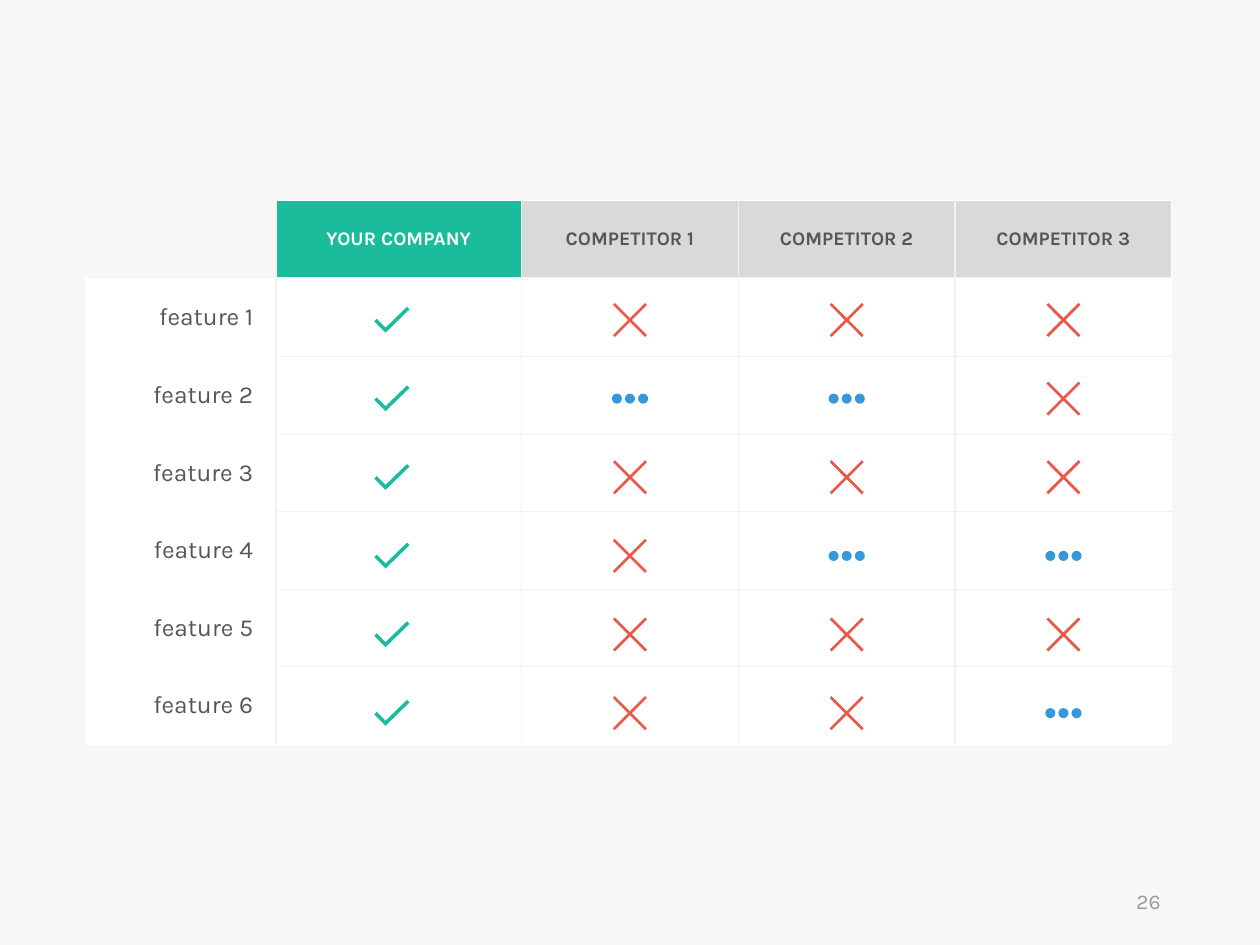
import dataclasses
import typing

import lxml.etree
import pptx
import pptx.dml.color
import pptx.enum.shapes
import pptx.enum.text
import pptx.oxml.ns
import pptx.util

RGB = pptx.dml.color.RGBColor
ALIGN = pptx.enum.text.PP_ALIGN
MIDDLE = pptx.enum.text.MSO_ANCHOR.MIDDLE

PAPER = RGB(0xF7, 0xF7, 0xF7)
WHITE = RGB(0xFF, 0xFF, 0xFF)
RULE = RGB(0xF2, 0xF2, 0xF2)
SILVER = RGB(0xD9, 0xD9, 0xD9)
CHARCOAL = RGB(0x56, 0x56, 0x56)
MUTED = RGB(0x9A, 0x9A, 0x9A)
GREEN = RGB(0x1A, 0xBC, 0x9C)
RED = RGB(0xE9, 0x58, 0x49)
BLUE = RGB(0x34, 0x98, 0xDB)

GRID_COLUMNS, GRID_ROWS = 100, 75
MODULE = pptx.util.Inches(0.1)

TABLE_LEFT, TABLE_TOP = 6.9, 15.9
COLUMN_WIDTHS = [15, 19.5, 17.2, 17.2, 17.2]
HEADER_HEIGHT, FIRST_HEIGHT, FEATURE_HEIGHT = 6.1, 6.3, 6.16
HEADERS = ["YOUR COMPANY", "COMPETITOR 1", "COMPETITOR 2", "COMPETITOR 3"]

MARK_CENTERS = [31.1, 50, 67.2, 84.4]
MARK_TOP, MARK_STEP = 25.4, 6.24
RATINGS = ["yes no no no", "yes some some no", "yes no no no",
           "yes no some some", "yes no no no", "yes no no some"]

CHECK = [(1.2, -1.05), (-0.5, 0.6), (-1.2, -0.1), (-1.4, 0.1),
         (-0.5, 1), (1.4, -0.85)]
CROSS_ARM = [(1.35, -1.2), (1.2, -1.35), (0, -0.15)]
CROSS = CROSS_ARM + [(y, -x) for x, y in CROSS_ARM] + [
    (-x, -y) for x, y in CROSS_ARM] + [(-y, x) for x, y in CROSS_ARM]
DOT_SIZE, DOT_STEP = 0.8, 1.04


@dataclasses.dataclass(frozen=True)
class TextStyle:
    size: float
    color: RGB
    align: ALIGN
    bold: bool = False


@dataclasses.dataclass(frozen=True)
class Border:
    color: RGB
    width: float


HEADER_STYLE = TextStyle(11, CHARCOAL, ALIGN.CENTER, True)
COMPANY_STYLE = dataclasses.replace(HEADER_STYLE, color=WHITE)
FEATURE_STYLE = TextStyle(14, CHARCOAL, ALIGN.RIGHT)
NUMBER_STYLE = TextStyle(12, MUTED, ALIGN.RIGHT)
INNER = Border(RULE, 0.75)
OUTER = Border(WHITE, 1)


def grid(count: float) -> pptx.util.Emu:
    return pptx.util.Emu(round(count * MODULE))


def apply(target: typing.Any, values: dict[str, typing.Any]) -> None:
    for name, value in values.items():
        setattr(target, name, value)


def write(frame: typing.Any, text: str, style: TextStyle) -> None:
    para = frame.paragraphs[0]
    para.alignment = style.align
    span = para.add_run()
    span.text = text
    apply(span.font, {"name": "Karla", "size": pptx.util.Pt(style.size),
                      "bold": style.bold})
    span.font.color.rgb = style.color


def paint(shape: typing.Any, color: RGB) -> None:
    shape.shadow.inherit = False
    shape.fill.solid()
    shape.fill.fore_color.rgb = color
    shape.line.fill.background()


def draw_border(cell: typing.Any, side: str, border: Border | None) -> None:
    qn = pptx.oxml.ns.qn
    properties = cell._tc.get_or_add_tcPr()
    line = lxml.etree.SubElement(properties, qn(f"a:ln{side}"))
    if border is None:
        lxml.etree.SubElement(line, qn("a:noFill"))
        return
    line.set("w", str(pptx.util.Pt(border.width)))
    solid = lxml.etree.SubElement(line, qn("a:solidFill"))
    lxml.etree.SubElement(solid, qn("a:srgbClr"), val=str(border.color))


def cell_borders(row: int, column: int) -> dict[str, Border | None]:
    last_row, last_column = len(RATINGS), len(HEADERS)
    borders: dict[str, Border | None] = dict.fromkeys("LRTB", INNER)
    if column == 0:
        borders["L"] = OUTER if row else None
        if row != 1:
            borders["T"] = None
        if row > 0:
            borders["B"] = None
    elif row == 0:
        borders["T"] = OUTER
    if column == last_column:
        borders["R"] = OUTER
    if row == last_row:
        borders["B"] = OUTER
    return borders


def fill_cell(cell: typing.Any, row: int, column: int) -> None:
    for side, border in cell_borders(row, column).items():
        draw_border(cell, side, border)
    apply(cell, {"vertical_anchor": MIDDLE,
                 "margin_left": grid(0.7),
                 "margin_right": grid(1.8 if row and column == 0 else 0.7),
                 "margin_top": grid(0.4), "margin_bottom": grid(0.4)})
    if row == 0 and column == 0:
        cell.fill.background()
        return
    cell.fill.solid()
    if row > 0:
        cell.fill.fore_color.rgb = WHITE
        if column == 0:
            write(cell.text_frame, f"feature {row}", FEATURE_STYLE)
        return
    company = column == 1
    cell.fill.fore_color.rgb = GREEN if company else SILVER
    write(cell.text_frame, HEADERS[column - 1],
          COMPANY_STYLE if company else HEADER_STYLE)


def draw_table(page: typing.Any) -> None:
    heights = [HEADER_HEIGHT, FIRST_HEIGHT]
    heights += [FEATURE_HEIGHT] * (len(RATINGS) - 1)
    table = page.shapes.add_table(
        len(heights), len(COLUMN_WIDTHS), grid(TABLE_LEFT), grid(TABLE_TOP),
        grid(sum(COLUMN_WIDTHS)), grid(sum(heights))).table
    apply(table, {"first_row": False, "horz_banding": False})
    for column, width in enumerate(COLUMN_WIDTHS):
        table.columns[column].width = grid(width)
    for row, height in enumerate(heights):
        table.rows[row].height = grid(height)
        for column in range(len(COLUMN_WIDTHS)):
            fill_cell(table.cell(row, column), row, column)


def draw_outline(page: typing.Any, x: float, y: float,
                 points: list[tuple[float, float]], color: RGB) -> None:
    corners = [(grid(x + dx), grid(y + dy)) for dx, dy in points]
    builder = page.shapes.build_freeform(*corners[0])
    builder.add_line_segments(corners[1:], close=True)
    paint(builder.convert_to_shape(), color)


def draw_dots(page: typing.Any, x: float, y: float) -> None:
    group = page.shapes.add_group_shape()
    for place in (-1, 0, 1):
        paint(group.shapes.add_shape(
            pptx.enum.shapes.MSO_SHAPE.OVAL,
            grid(x + place * DOT_STEP - DOT_SIZE / 2), grid(y - DOT_SIZE / 2),
            grid(DOT_SIZE), grid(DOT_SIZE)), BLUE)


def draw_mark(page: typing.Any, rating: str, x: float, y: float) -> None:
    if rating == "yes":
        draw_outline(page, x, y, CHECK, GREEN)
    elif rating == "no":
        draw_outline(page, x, y, CROSS, RED)
    else:
        draw_dots(page, x, y)


def draw_page_number(page: typing.Any) -> None:
    box = page.shapes.add_textbox(grid(70.6), grid(69.5), grid(22.5), grid(4))
    apply(box.text_frame, {"word_wrap": True, "vertical_anchor": MIDDLE})
    write(box.text_frame, "26", NUMBER_STYLE)


def main() -> None:
    deck = pptx.Presentation()
    apply(deck, {"slide_width": grid(GRID_COLUMNS),
                 "slide_height": grid(GRID_ROWS)})
    page = deck.slides.add_slide(deck.slide_layouts[6])
    page.background.fill.solid()
    page.background.fill.fore_color.rgb = PAPER
    draw_table(page)
    for row, ratings in enumerate(RATINGS):
        for x, rating in zip(MARK_CENTERS, ratings.split()):
            draw_mark(page, rating, x, MARK_TOP + row * MARK_STEP)
    draw_page_number(page)
    deck.save("out.pptx")


if __name__ == "__main__":
    main()
